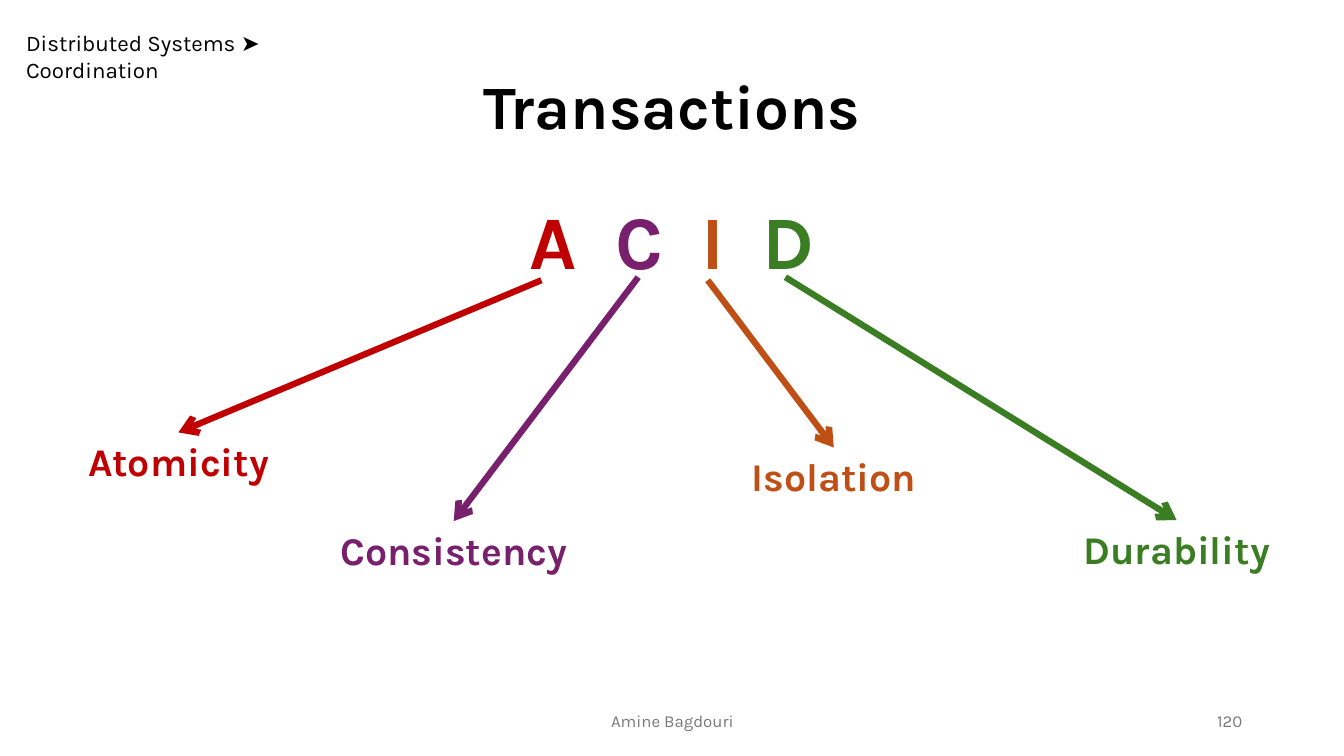
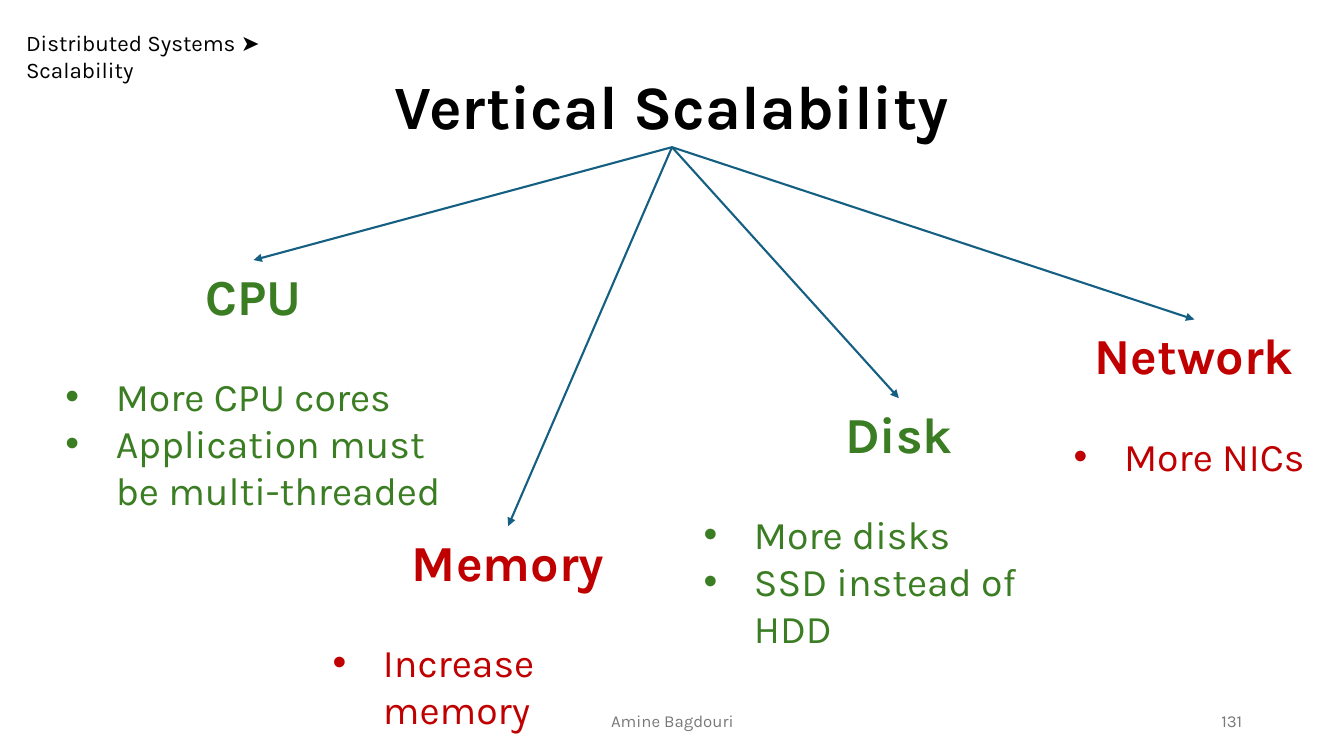
from lxml import etree
from pptx import Presentation
from pptx.dml.color import RGBColor
from pptx.enum.shapes import MSO_CONNECTOR
from pptx.enum.text import MSO_ANCHOR, MSO_AUTO_SIZE, PP_ALIGN
from pptx.oxml.ns import qn
from pptx.util import Inches, Pt

LEFT, CENTER, RIGHT = PP_ALIGN.LEFT, PP_ALIGN.CENTER, PP_ALIGN.RIGHT
TOP, MIDDLE = MSO_ANCHOR.TOP, MSO_ANCHOR.MIDDLE
STRAIGHT = MSO_CONNECTOR.STRAIGHT

FONT = "Karla"
WIDTH, HEIGHT = 13.33, 7.5
COLORS = {
    "text": "000000", "footer": "797979", "arrow": "156082",
    "red": "C00000", "purple": "78206E", "orange": "C04F15", "green": "3B7D23",
}
TITLE_BOX = (0, 0.62, WIDTH, 0.84)
SECTION_BOX = (0.16, 0.24, 3, 0.64)
AUTHOR_BOX = (4.42, 6.95, 4.5, 0.4)
NUMBER_BOX = (9.42, 6.95, 3, 0.4)
ACRONYM_BOX = (0, 1.87, WIDTH, 1.01)
AUTHOR = "Amine Bagdouri"
LETTER_GAP = 13.5    # points added to each space between the letters
HEADING_GAP = 33.6   # points between a heading and its bullets

# word, colour, label box, arrow start below the initial
ACID = [
    ("Atomicity", "red", (0.77, 4.29, 2, 0.57), (5.37, 2.78)),
    ("Consistency", "purple", (3.25, 5.17, 2.5, 0.57), (6.33, 2.75)),
    ("Isolation", "orange", (7.02, 4.44, 2.5, 0.57), (7.02, 2.78)),
    ("Durability", "green", (10.42, 5.16, 2.5, 0.57), (7.79, 2.75)),
]

# resource, colour, box, bullets
RESOURCES = [
    ("CPU", "green", (0.55, 2.58, 3.93, 2.59),
     ["More CPU cores", "Application must be multi-threaded"]),
    ("Memory", "red", (3.2, 5.22, 3.68, 1.65), ["Increase memory"]),
    ("Disk", "green", (6.88, 3.95, 4.07, 2.12),
     ["More disks", "SSD instead of HDD"]),
    ("Network", "red", (10.55, 3.17, 2.59, 1.65), ["More NICs"]),
]


def rgb(name):
    return RGBColor.from_string(COLORS[name])


def format_paragraph(p, size, color, bold=False, align=LEFT):
    p.alignment = align
    p.font.name = FONT
    p.font.size = Pt(size)
    p.font.bold = bold
    p.font.color.rgb = rgb(color)


def add_box(slide, box, anchor=TOP):
    tf = slide.shapes.add_textbox(*map(Inches, box)).text_frame
    tf.word_wrap = True
    tf.vertical_anchor = anchor
    return tf


def add_text(slide, box, text, size, color, bold=False, align=LEFT, anchor=TOP):
    tf = add_box(slide, box, anchor)
    p = tf.paragraphs[0]
    p.text = text
    format_paragraph(p, size, color, bold, align)
    return tf


def add_bullet(tf, text, size, color):
    p = tf.add_paragraph()
    p.text = text
    format_paragraph(p, size, color)
    pPr = p._p.get_or_add_pPr()
    pPr.set("marL", str(Inches(0.5)))
    pPr.set("indent", str(Inches(-0.5)))
    font = etree.Element(qn("a:buFont"), typeface="Arial")
    char = etree.Element(qn("a:buChar"), char="•")
    pPr.find(qn("a:defRPr")).addprevious(font)
    font.addnext(char)


def add_arrow(slide, start, box, color, width, head):
    """Draw an arrow from start to the middle of the top edge of box."""
    left, top, box_width, _ = box
    end = (left + box_width / 2, top)
    line = slide.shapes.add_connector(STRAIGHT, *map(Inches, start + end))
    line.line.color.rgb = rgb(color)
    line.line.width = Pt(width)
    etree.SubElement(line.line._get_or_add_ln(), qn("a:tailEnd"), type=head)
    etree.SubElement(line._element.spPr, qn("a:effectLst"))


def add_slide(prs, title, section, number):
    slide = prs.slides.add_slide(prs.slide_layouts[5])
    sp = slide.shapes.title
    sp.left, sp.top, sp.width, sp.height = map(Inches, TITLE_BOX)
    tf = sp.text_frame
    tf.text = title
    tf.word_wrap = True
    tf.auto_size = MSO_AUTO_SIZE.NONE
    tf.vertical_anchor = TOP
    format_paragraph(tf.paragraphs[0], 44, "text", True, CENTER)
    add_text(slide, SECTION_BOX, f"Distributed Systems ➤ {section}", 16, "text")
    add_text(slide, AUTHOR_BOX, AUTHOR, 12, "footer", align=CENTER, anchor=MIDDLE)
    add_text(slide, NUMBER_BOX, str(number), 12, "footer", align=RIGHT, anchor=MIDDLE)
    return slide


def add_acronym(slide):
    p = add_box(slide, ACRONYM_BOX).paragraphs[0]
    format_paragraph(p, 54, "text", True, CENTER)
    for i, (word, color, _, _) in enumerate(ACID):
        if i:
            gap = p.add_run()
            gap.text = " "
            gap._r.get_or_add_rPr().set("spc", str(int(LETTER_GAP * 100)))
        r = p.add_run()
        r.text = word[0]
        r.font.color.rgb = rgb(color)


def build_transactions(prs):
    slide = add_slide(prs, "Transactions", "Coordination", 120)
    add_acronym(slide)
    for word, color, box, start in ACID:
        add_text(slide, box, word, 28, color, True, CENTER)
        add_arrow(slide, start, box, color, 4.5, "arrow")


def build_vertical_scalability(prs):
    slide = add_slide(prs, "Vertical Scalability", "Scalability", 131)
    title_bottom = (WIDTH / 2, TITLE_BOX[1] + TITLE_BOX[3])
    for name, color, box, bullets in RESOURCES:
        tf = add_text(slide, box, name, 36, color, True, CENTER)
        tf.paragraphs[0].space_after = Pt(HEADING_GAP)
        for bullet in bullets:
            add_bullet(tf, bullet, 28, color)
        add_arrow(slide, title_bottom, box, "arrow", 1.5, "triangle")


def main():
    prs = Presentation()
    prs.slide_width, prs.slide_height = Inches(WIDTH), Inches(HEIGHT)
    build_transactions(prs)
    build_vertical_scalability(prs)
    prs.save("out.pptx")


if __name__ == "__main__":
    main()
